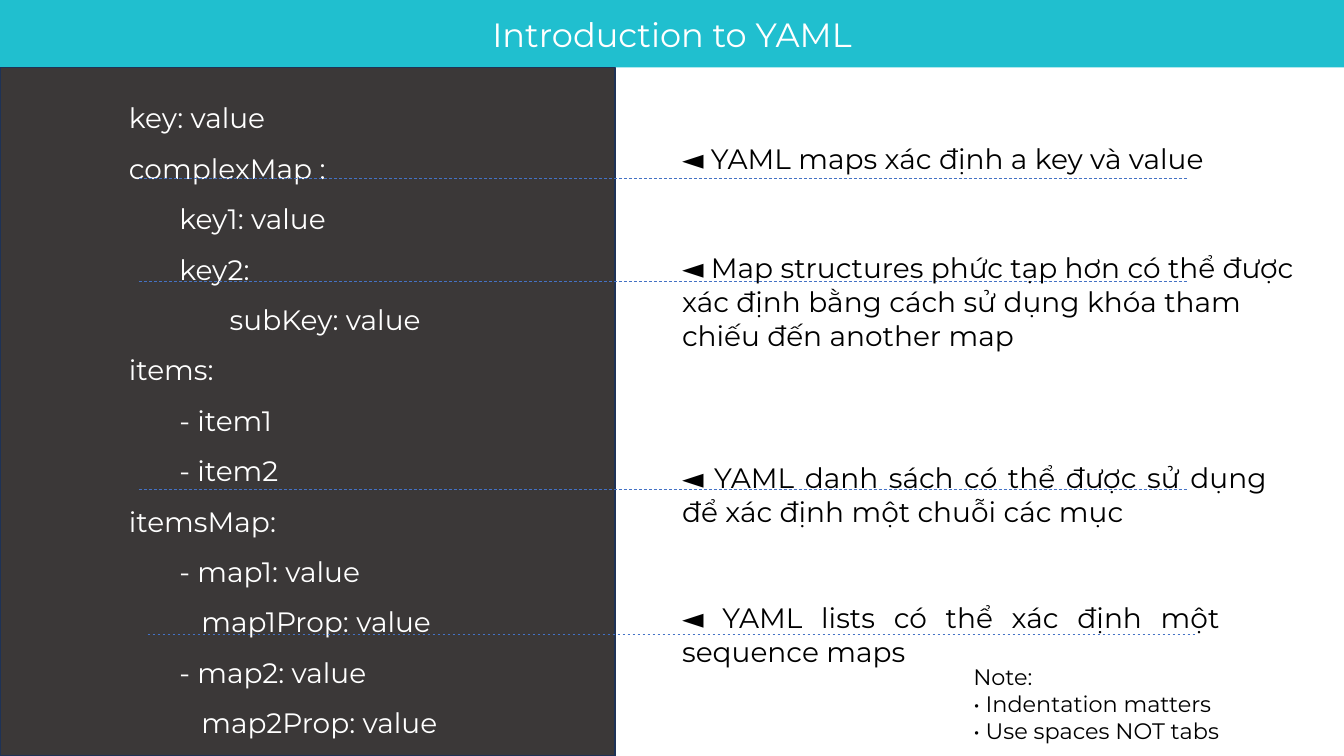
from dataclasses import dataclass
from typing import Any

import lxml.etree
import pptx
import pptx.dml.color
import pptx.enum.dml
import pptx.enum.shapes
import pptx.enum.text
import pptx.oxml.ns
import pptx.util

Cm, Pt = pptx.util.Cm, pptx.util.Pt
Align = pptx.enum.text.PP_ALIGN
Anchor = pptx.enum.text.MSO_ANCHOR
qn = pptx.oxml.ns.qn

FONT = "Montserrat"
WIDE, HIGH = 33.87, 19.05
HEAD = 1.7
COLORS = {
    "teal": "20BFCF",
    "dark": "3B3838",
    "edge": "1E3256",
    "rule": "4472C4",
    "white": "FFFFFF",
    "black": "000000",
}

YAML = """key: value
complexMap :
\tkey1: value
\tkey2:
\t\tsubKey: value
items:
\t- item1
\t- item2
itemsMap:
\t- map1: value
\t   map1Prop: value
\t- map2: value
\t   map2Prop: value"""


@dataclass
class Box:
    left: float
    top: float
    width: float
    height: float

    def place(self) -> list[int]:
        return [Cm(n) for n in (self.left, self.top, self.width, self.height)]


@dataclass
class Remark:
    """An explanation and the dashed rule that ties it to the code."""
    text: str
    box: Box
    rule: float
    start: float = 3.5
    align: Any = Align.LEFT
    wrap: bool = True


REMARKS = [
    Remark("◄ YAML maps xác định a key và value",
           Box(16.94, 3.43, 14, 1.12), 4.5, wrap=False),
    Remark("◄ Map structures phức tạp hơn có thể được xác định bằng cách "
           "sử dụng khóa tham chiếu đến another map",
           Box(16.94, 6.2, 16.1, 2.82), 7.09),
    Remark("◄ YAML danh sách có thể được sử dụng để xác định một chuỗi các mục",
           Box(16.94, 11.48, 15.24, 1.96), 12.34, align=Align.JUSTIFY),
    Remark("◄ YAML lists có thể xác định một sequence maps",
           Box(16.94, 15.01, 14.05, 1.96), 15.98, 3.72, Align.JUSTIFY),
]
RULE_LEN = 26.42


def rgb(name: str) -> pptx.dml.color.RGBColor:
    return pptx.dml.color.RGBColor.from_string(COLORS[name])


def write(shape: Any, text: str, *, size: float = 20, color: str = "black",
          align: Any = Align.LEFT, anchor: Any = Anchor.TOP,
          space: float | None = None, margin: float = 0,
          wrap: bool = True) -> None:
    """Fill a shape with one paragraph per line of text."""
    frame = shape.text_frame
    frame.word_wrap = wrap
    frame.vertical_anchor = anchor
    for i, line in enumerate(text.split("\n")):
        para = frame.add_paragraph() if i else frame.paragraphs[0]
        para.alignment = align
        para.line_spacing = space
        if margin:
            props = para._p.get_or_add_pPr()
            props.set("marL", str(Cm(margin)))
            props.set("indent", "0")
        run = para.add_run()
        run.text = line
        run.font.name = FONT
        run.font.size = Pt(size)
        run.font.color.rgb = rgb(color)


def panel(slide: Any, box: Box, fill: str, edge: str | None = None) -> Any:
    shape = slide.shapes.add_shape(
        pptx.enum.shapes.MSO_SHAPE.RECTANGLE, *box.place())
    shape.shadow.inherit = False
    shape.fill.solid()
    shape.fill.fore_color.rgb = rgb(fill)
    if edge:
        shape.line.color.rgb = rgb(edge)
        shape.line.width = Pt(1)
    else:
        shape.line.fill.background()
    return shape


def label(slide: Any, box: Box, text: str, **style: Any) -> None:
    shape = slide.shapes.add_textbox(*box.place())
    write(shape, text, **style)
    shape.text_frame.auto_size = pptx.enum.text.MSO_AUTO_SIZE.SHAPE_TO_FIT_TEXT


def rule(slide: Any, left: float, top: float) -> None:
    line = slide.shapes.add_connector(
        pptx.enum.shapes.MSO_CONNECTOR.STRAIGHT,
        Cm(left), Cm(top), Cm(left + RULE_LEN), Cm(top))
    line.line.color.rgb = rgb("rule")
    line.line.width = Pt(0.5)
    line.line.dash_style = pptx.enum.dml.MSO_LINE.DASH
    lxml.etree.SubElement(line._element.spPr, qn("a:effectLst"))


def main() -> None:
    deck = pptx.Presentation()
    deck.slide_width, deck.slide_height = Cm(WIDE), Cm(HIGH)
    slide = deck.slides.add_slide(deck.slide_layouts[6])

    title = panel(slide, Box(0, 0, WIDE, HEAD), "teal")
    write(title, "Introduction to YAML", size=24, color="white",
          align=Align.CENTER, anchor=Anchor.MIDDLE)
    code = panel(slide, Box(0, HEAD, 15.5, HIGH - HEAD), "dark", "edge")
    write(code, YAML, color="white", anchor=Anchor.MIDDLE, space=1.5, margin=3)

    for item in REMARKS:
        rule(slide, item.start, item.rule)
        label(slide, item.box, item.text, align=item.align, wrap=item.wrap)
    label(slide, Box(24.28, 16.59, 8.15, 2.39),
          "Note:\n• Indentation matters\n• Use spaces NOT tabs",
          size=16, align=Align.JUSTIFY)

    deck.save("out.pptx")


if __name__ == "__main__":
    main()
